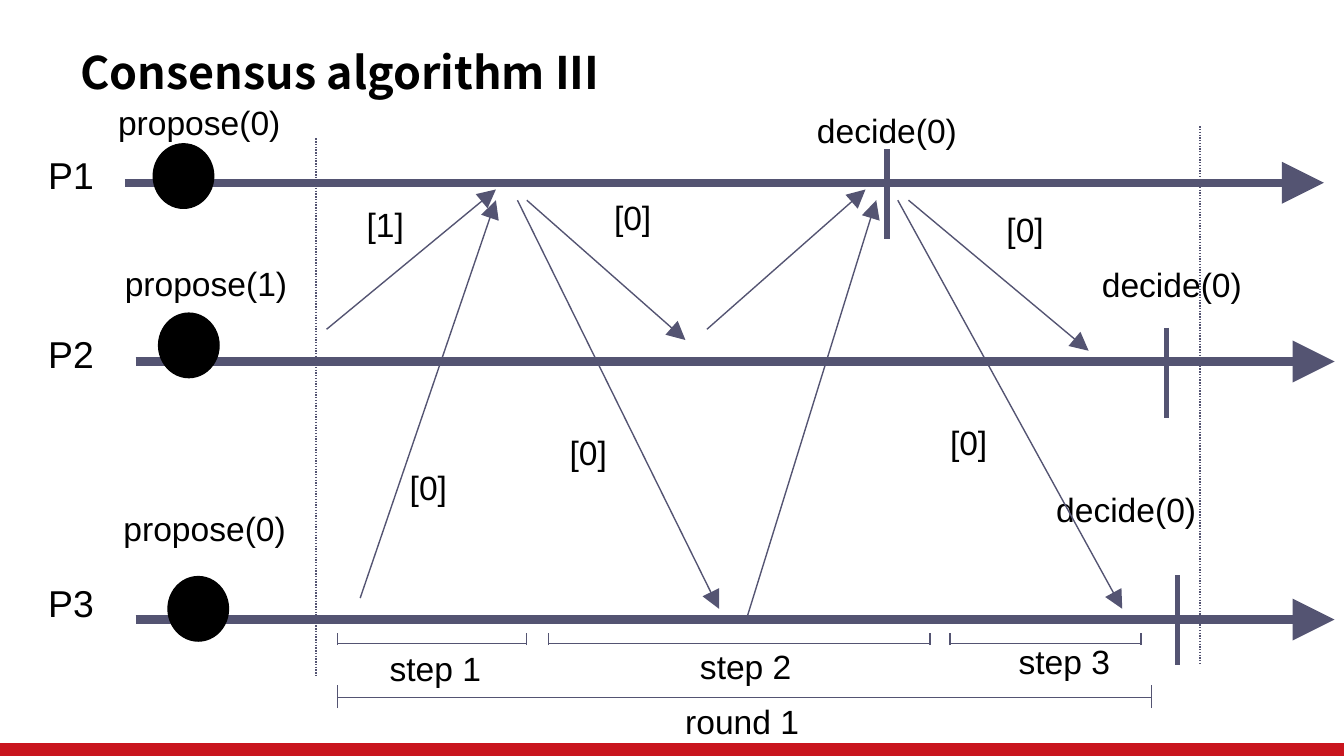
from typing import NamedTuple

from lxml import etree
from pptx import Presentation
from pptx.dml.color import RGBColor
from pptx.enum.dml import MSO_LINE
from pptx.enum.shapes import MSO_CONNECTOR, MSO_SHAPE
from pptx.enum.text import MSO_ANCHOR
from pptx.oxml.ns import qn
from pptx.util import Inches, Pt

STRAIGHT = MSO_CONNECTOR.STRAIGHT
OVAL = MSO_SHAPE.OVAL
RECTANGLE = MSO_SHAPE.RECTANGLE
DOTTED = MSO_LINE.ROUND_DOT
MIDDLE = MSO_ANCHOR.MIDDLE

COLORS = {"ink": "000000", "line": "545472", "band": "C9151E"}
BODY_FONT = "Arial"
TITLE_FONT = "Noto Sans CJK SC"
SLIDE_WIDTH = 10
SLIDE_HEIGHT = SLIDE_WIDTH * 9 / 16
THIN, TICK, AXIS = 0.75, 3, 4.5
AXIS_LENGTH = 8.92
DOT_WIDTH, DOT_HEIGHT = 0.45, 0.48


class Label(NamedTuple):
    text: str
    left: float
    top: float


class Process(NamedTuple):
    name: Label
    axis_left: float
    axis_y: float
    dot_left: float
    dot_top: float
    proposal: Label
    decision: Label
    tick_x: float
    tick_top: float


class Message(NamedTuple):
    x1: float
    y1: float
    x2: float
    y2: float


class Bracket(NamedTuple):
    left: float
    right: float
    y: float
    tick_top: float
    tick_bottom: float
    label: Label


PROCESSES = [
    Process(Label("P1", 0.26, 1.11), 0.93, 1.36, 1.14, 1.07,
            Label("propose(0)", 0.78, 0.73), Label("decide(0)", 5.98, 0.79), 6.6, 1.11),
    Process(Label("P2", 0.26, 2.44), 1.01, 2.69, 1.18, 2.33,
            Label("propose(1)", 0.83, 1.93), Label("decide(0)", 8.1, 1.94), 8.68, 2.44),
    Process(Label("P3", 0.26, 4.29), 1.01, 4.61, 1.25, 4.29,
            Label("propose(0)", 0.82, 3.75), Label("decide(0)", 7.76, 3.61), 8.76, 4.28),
]

MESSAGES = [
    # Step 1: estimates to P1
    Message(2.43, 2.45, 3.69, 1.41),
    Message(2.68, 4.45, 3.69, 1.49),
    # Step 2: proposal from P1 and the replies
    Message(3.92, 1.49, 5.1, 2.53),
    Message(3.85, 1.49, 5.35, 4.53),
    Message(5.26, 2.45, 6.44, 1.41),
    Message(5.55, 4.62, 6.52, 1.49),
    # Step 3: decision from P1
    Message(6.76, 1.49, 8.1, 2.61),
    Message(6.68, 1.49, 8.35, 4.53),
]

MESSAGE_VALUES = [
    Label("[1]", 2.63, 1.49),
    Label("[0]", 2.95, 3.45),
    Label("[0]", 4.47, 1.44),
    Label("[0]", 4.14, 3.19),
    Label("[0]", 7.39, 1.53),
    Label("[0]", 6.97, 3.11),
]

BRACKETS = [
    Bracket(2.51, 3.92, 4.79, 4.71, 4.8, Label("step 1", 2.8, 4.79)),
    Bracket(4.08, 6.92, 4.79, 4.71, 4.8, Label("step 2", 5.11, 4.78)),
    Bracket(7.07, 8.49, 4.79, 4.71, 4.8, Label("step 3", 7.48, 4.74)),
    Bracket(2.51, 8.57, 5.19, 5.1, 5.27, Label("round 1", 5, 5.19)),
]

ROUND_LIMITS = [(2.35, 1.03), (8.93, 0.94)]


def color(key: str) -> RGBColor:
    return RGBColor.from_string(COLORS[key])


def add_line(slide, x1: float, y1: float, x2: float, y2: float,
             width: float = THIN, arrow: bool = False, dotted: bool = False) -> None:
    connector = slide.shapes.add_connector(
        STRAIGHT, Inches(x1), Inches(y1), Inches(x2), Inches(y2))
    connector.line.color.rgb = color("line")
    connector.line.width = Pt(width)
    if dotted:
        connector.line.dash_style = DOTTED
    properties = connector._element.spPr
    if arrow:
        etree.SubElement(properties.find(qn("a:ln")), qn("a:tailEnd"),
                         type="triangle", w="lg", len="lg")
    etree.SubElement(properties, qn("a:effectLst"))


def add_label(slide, label: Label, size: float = 18, width: float = 1.58,
              height: float = 0.39, font: str = BODY_FONT, bold: bool = False) -> None:
    box = slide.shapes.add_textbox(
        Inches(label.left), Inches(label.top), Inches(width), Inches(height))
    frame = box.text_frame
    frame.word_wrap = True
    frame.text = label.text
    paragraph = frame.paragraphs[0]
    if bold:
        frame.vertical_anchor = MIDDLE
        frame.margin_top = frame.margin_bottom = 0
    else:
        paragraph.line_spacing = 0.95
    run_font = paragraph.runs[0].font
    run_font.name = font
    run_font.size = Pt(size)
    run_font.bold = bold
    run_font.color.rgb = color("ink")


def add_filled(slide, preset, left: float, top: float, width: float, height: float,
               fill: str, outlined: bool = False) -> None:
    shape = slide.shapes.add_shape(
        preset, Inches(left), Inches(top), Inches(width), Inches(height))
    shape.shadow.inherit = False
    shape.fill.solid()
    shape.fill.fore_color.rgb = color(fill)
    if outlined:
        shape.line.color.rgb = color(fill)
        shape.line.width = Pt(THIN)
    else:
        shape.line.fill.background()


def add_process(slide, process: Process) -> None:
    add_line(slide, process.axis_left, process.axis_y,
             process.axis_left + AXIS_LENGTH, process.axis_y, AXIS, arrow=True)
    add_label(slide, process.name, 20, 0.6, 0.42)
    add_label(slide, process.proposal)
    add_label(slide, process.decision)
    add_line(slide, process.tick_x, process.tick_top,
             process.tick_x, process.tick_top + 0.67, TICK)
    add_filled(slide, OVAL, process.dot_left, process.dot_top,
               DOT_WIDTH, DOT_HEIGHT, "ink", outlined=True)


def add_bracket(slide, bracket: Bracket) -> None:
    add_line(slide, bracket.left, bracket.y, bracket.right, bracket.y)
    for x in (bracket.left, bracket.right):
        add_line(slide, x, bracket.tick_bottom, x, bracket.tick_top)
    add_label(slide, bracket.label)


def main() -> None:
    deck = Presentation()
    deck.slide_width, deck.slide_height = Inches(SLIDE_WIDTH), Inches(SLIDE_HEIGHT)
    slide = deck.slides.add_slide(deck.slide_layouts[6])

    # Footer band and title
    add_filled(slide, RECTANGLE, 0, 5.53, SLIDE_WIDTH, 0.1, "band")
    add_label(slide, Label("Consensus algorithm III", 0.5, 0.29),
              24, 6.96, 0.49, TITLE_FONT, bold=True)

    # Process timelines
    for process in PROCESSES:
        add_process(slide, process)

    # Limits of the round
    for x, top in ROUND_LIMITS:
        add_line(slide, x, top, x, top + 4, dotted=True)

    # Messages and their values
    for message in MESSAGES:
        add_line(slide, *message, arrow=True)
    for value in MESSAGE_VALUES:
        add_label(slide, value)

    # Steps and round
    for bracket in BRACKETS:
        add_bracket(slide, bracket)

    deck.save("out.pptx")


if __name__ == "__main__":
    main()
